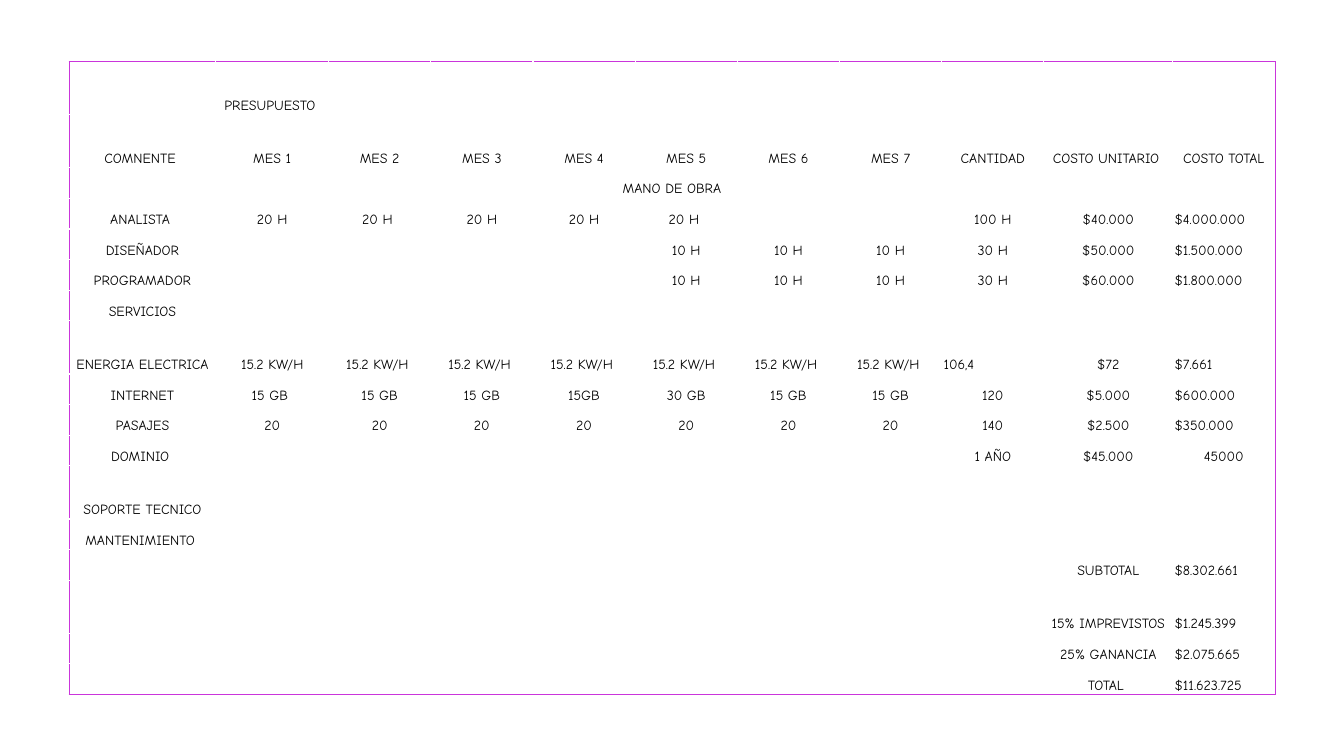
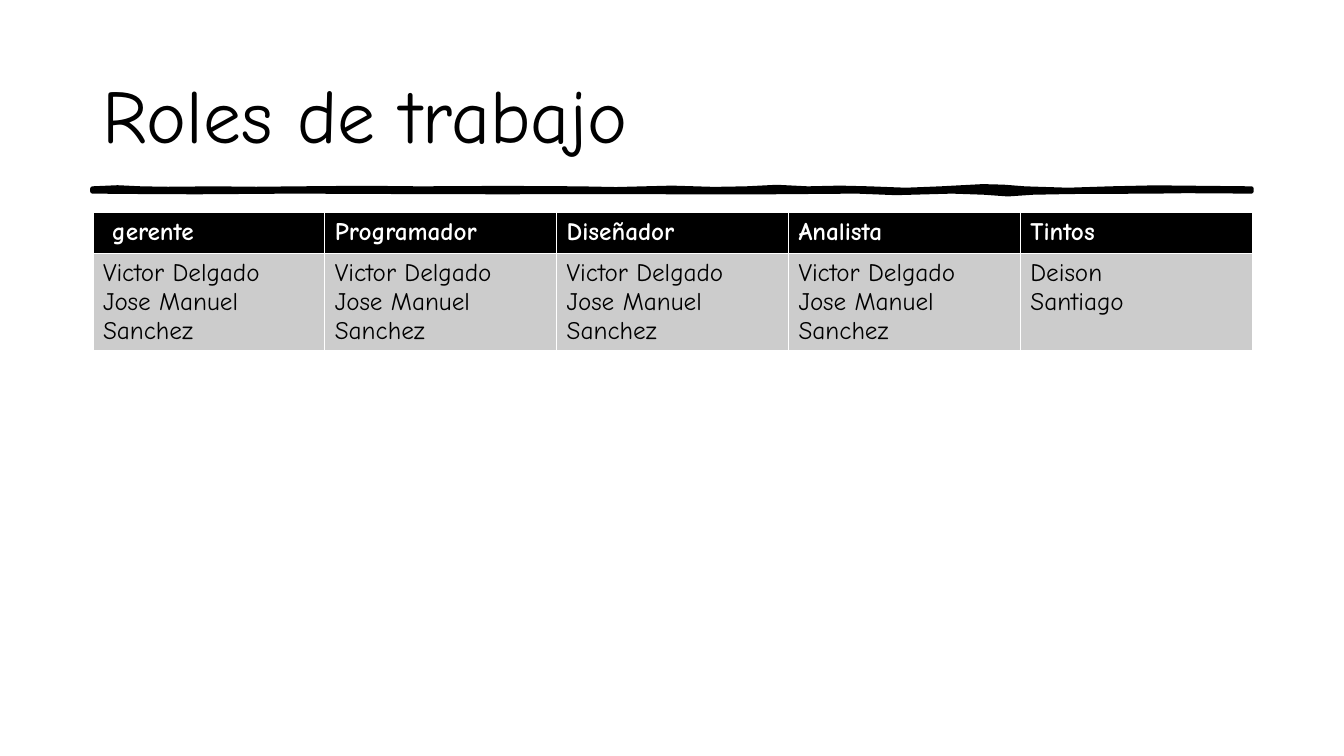
from lxml import etree
from pptx import Presentation
from pptx.dml.color import RGBColor
from pptx.enum.shapes import MSO_SHAPE
from pptx.enum.text import MSO_ANCHOR, MSO_AUTO_SIZE, PP_ALIGN
from pptx.oxml.ns import qn
from pptx.util import Pt

LEFT, CENTER = PP_ALIGN.LEFT, PP_ALIGN.CENTER
TOP, MIDDLE, BOTTOM = MSO_ANCHOR.TOP, MSO_ANCHOR.MIDDLE, MSO_ANCHOR.BOTTOM
BLACK = RGBColor(0x00, 0x00, 0x00)
WHITE = RGBColor(0xFF, 0xFF, 0xFF)
GRAY = RGBColor(0xCC, 0xCC, 0xCC)
MAGENTA = RGBColor(0xCA, 0x35, 0xDB)
FONT = "Comic Neue"
TITLE_ONLY, BLANK = 5, 6


def write(frame, text, size=18, color=BLACK, bold=False, align=LEFT, anchor=TOP):
    """Fill a text frame, one paragraph for each line of the text."""
    frame.word_wrap = True
    frame.vertical_anchor = anchor
    for index, line in enumerate(text.split("\n")):
        paragraph = frame.add_paragraph() if index else frame.paragraphs[0]
        paragraph.alignment = align
        if not line:
            # An empty cell keeps the row height of its font size
            etree.SubElement(paragraph._p, qn("a:endParaRPr"), sz=str(size * 100))
            continue
        run = paragraph.add_run()
        run.text = line
        run.font.name = FONT
        run.font.size = Pt(size)
        run.font.bold = bold
        run.font.color.rgb = color


def add_border(cell, side, color, width):
    """Draw one side (L, R, T or B) of a table cell."""
    line = etree.Element(qn("a:ln" + side), w=str(Pt(width)))
    fill = etree.SubElement(line, qn("a:solidFill"))
    etree.SubElement(fill, qn("a:srgbClr"), val=str(color))
    properties = cell._tc.get_or_add_tcPr()
    # Borders come before the fill, in the order L, R, T, B
    borders = [child for child in properties if child.tag.startswith(qn("a:ln"))]
    properties.insert(len(borders), line)


presentation = Presentation()
presentation.slide_width = Pt(960)
presentation.slide_height = Pt(540)

# Slide 1: budget
slide = presentation.slides.add_slide(presentation.slide_layouts[BLANK])
backdrop = slide.shapes.add_shape(MSO_SHAPE.RECTANGLE, 0, 0, Pt(960), Pt(540))
backdrop.shadow.inherit = False
backdrop.fill.solid()
backdrop.fill.fore_color.rgb = WHITE
backdrop.line.fill.background()

NONE = [""]
budget = [
    ["", "PRESUPUESTO "] + NONE * 9,
    ["COMNENTE "] + [f"MES {month}" for month in range(1, 8)]
    + ["CANTIDAD", "COSTO UNITARIO ", "COSTO TOTAL"],
    ["MANO DE OBRA"] + NONE * 10,
    ["ANALISTA ", "20 H", "20 H ", "20 H", "20 H", "20 H ", "", "",
     "100 H", "$40.000", "$4.000.000"],
    ["DISEÑADOR"] + NONE * 4 + ["10 H"] * 3 + ["30 H", "$50.000", "$1.500.000"],
    ["PROGRAMADOR"] + NONE * 4 + ["10 H"] * 3 + ["30 H", "$60.000", "$1.800.000"],
    ["SERVICIOS"] + NONE * 10,
    ["ENERGIA ELECTRICA", "15.2 KW/H"] + ["15.2 KW/H "] * 6
    + ["106,4", "$72", "$7.661"],
    ["INTERNET", "15 GB ", "15 GB", "15 GB", "15GB", "30 GB", "15 GB", "15 GB",
     "120", "$5.000", "$600.000"],
    ["PASAJES"] + ["20"] * 7 + ["140", "$2.500", "$350.000"],
    ["DOMINIO "] + NONE * 7 + ["1 AÑO", "$45.000", "45000"],
    ["SOPORTE TECNICO"] + NONE * 10,
    ["MANTENIMIENTO "] + NONE * 10,
    NONE * 9 + ["SUBTOTAL", "$8.302.661"],
    NONE * 9 + ["15% IMPREVISTOS", "$1.245.399"],
    NONE * 9 + ["25% GANANCIA", "$2.075.665"],
    NONE * 9 + ["TOTAL ", "$11.623.725"],
]
budget_widths = [105, 80.5] + [73] * 7 + [92, 73]
tall_rows = {0, 1, 7, 11, 14}
labor_row = 2
last_row, last_column = len(budget) - 1, len(budget_widths) - 1

table = slide.shapes.add_table(
    len(budget), len(budget_widths), Pt(49.2), Pt(44), Pt(861.5), Pt(452.3)).table
table.first_row = table.horz_banding = False
for column, width in zip(table.columns, budget_widths):
    column.width = Pt(width)
for row_index, values in enumerate(budget):
    table.rows[row_index].height = Pt(37.9 if row_index in tall_rows else 21.9)
    for column_index, value in enumerate(values):
        cell = table.cell(row_index, column_index)
        cell.margin_left = cell.margin_right = Pt(1.4)
        cell.margin_top = cell.margin_bottom = Pt(0.7)
        cell.fill.background()
        is_total = column_index == last_column and value.startswith("$")
        align = LEFT if is_total or value == "106,4" else CENTER
        write(cell.text_frame, value, size=10, align=align)
        cell.vertical_anchor = BOTTOM
        # Outer frame only
        for side, on_edge in (("L", column_index == 0),
                              ("R", column_index == last_column),
                              ("T", row_index == 0),
                              ("B", row_index == last_row)):
            if on_edge or (row_index == labor_row and side == "R" and column_index == 0):
                add_border(cell, side, MAGENTA, 0.5)
table.cell(labor_row, 0).merge(table.cell(labor_row, last_column))

# Slide 2: roles
slide = presentation.slides.add_slide(presentation.slide_layouts[TITLE_ONLY])
title = slide.shapes.title
title.left, title.top, title.width, title.height = Pt(66), Pt(29), Pt(828), Pt(104)
title.text_frame.auto_size = MSO_AUTO_SIZE.NONE
write(title.text_frame, "Roles de trabajo", size=54, anchor=MIDDLE)

# Hand-drawn rule under the title: x and wobble of each edge
upper_edge = [(66, 0), (84, -0.8), (101, 0), (120, 0.3), (153, 0), (183, 0.3),
              (213, 0), (260, -0.4), (300, 0), (360, -0.3), (414, 0), (440, 0.5),
              (480, -0.5), (510, 0.4), (533, 0), (555, -1.1), (577, 0),
              (600, -0.5), (621, 0), (647, 1), (672, 0), (702, -1.6), (717, -1.2),
              (732, 0), (763, 1), (793, 0), (825, -0.7), (894, 0)]
lower_edge = [(894, 0), (847, -0.3), (825, 0), (765, 0.3), (738, 0.8), (720, 2),
              (703, 0.8), (680, 0), (640, 1.1), (612, 0), (550, 0.5), (486, 0.5),
              (426, 0.3), (360, 0.5), (283, 0.3), (209, 0), (140, 0.5), (100, 0.3),
              (66, 0)]
outline = [(Pt(x), Pt(134.6 + wobble)) for x, wobble in upper_edge]
outline += [(Pt(x), Pt(136.8 + wobble)) for x, wobble in lower_edge]
builder = slide.shapes.build_freeform(*outline[0])
builder.add_line_segments(outline[1:], close=True)
rule = builder.convert_to_shape()
rule.shadow.inherit = False
rule.fill.solid()
rule.fill.fore_color.rgb = BLACK
rule.line.color.rgb = BLACK
rule.line.width = Pt(3)

# Roles table
team = "Victor Delgado\nJose Manuel Sanchez"
roles = [(" gerente", team), ("Programador", team), ("Diseñador", team),
         ("Analista", team), ("Tintos", "Deison\nSantiago")]
table = slide.shapes.add_table(
    2, len(roles), Pt(66.4), Pt(152), Pt(828), Pt(98.7)).table
table.rows[0].height, table.rows[1].height = Pt(29.2), Pt(69.5)
row_styles = [(BLACK, WHITE, True), (GRAY, BLACK, False)]
for column_index, texts in enumerate(roles):
    table.columns[column_index].width = Pt(165.6)
    for row_index, (fill, color, bold) in enumerate(row_styles):
        cell = table.cell(row_index, column_index)
        cell.fill.solid()
        cell.fill.fore_color.rgb = fill
        write(cell.text_frame, texts[row_index], color=color, bold=bold)

presentation.save("out.pptx")
